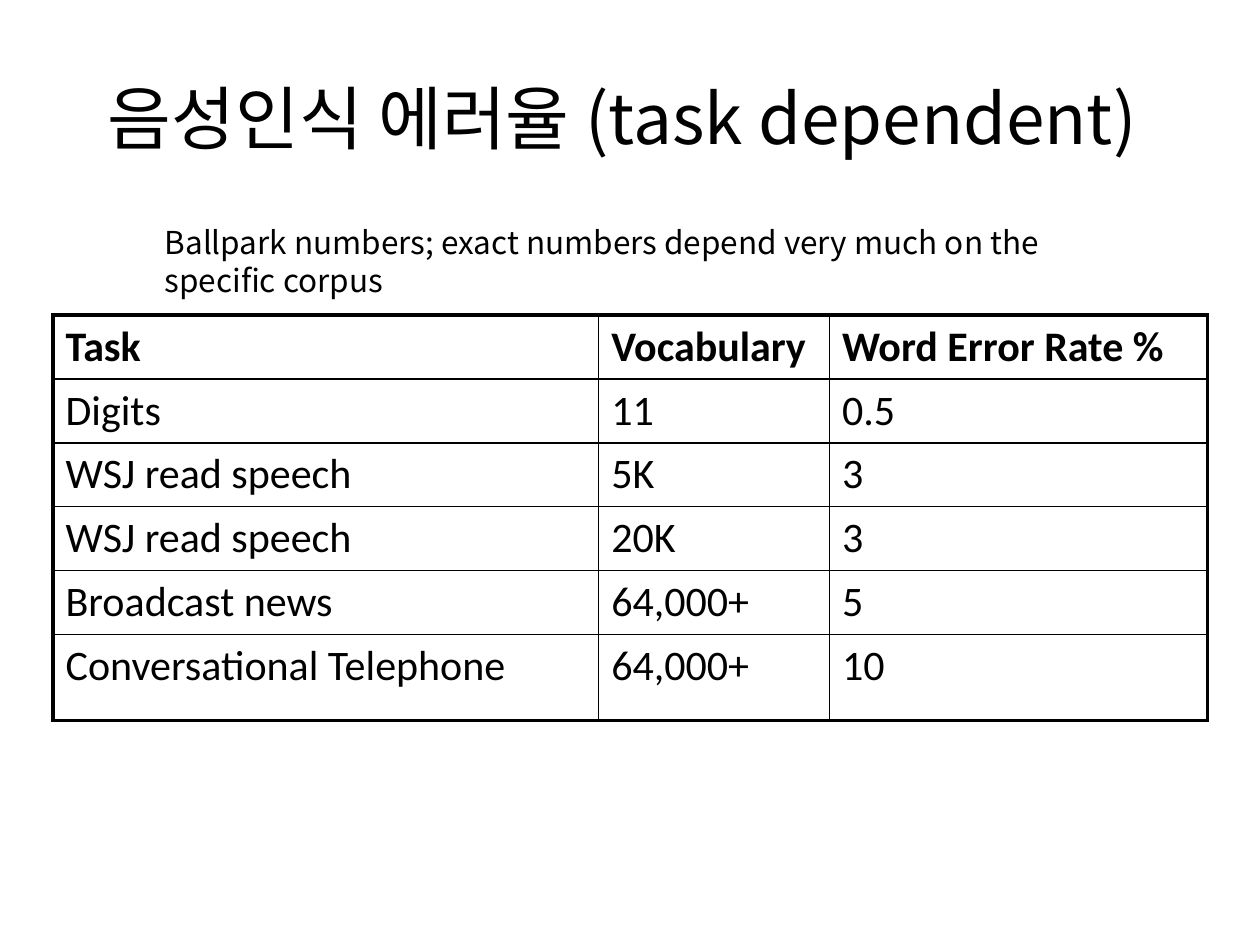
from dataclasses import dataclass

import lxml.etree
import pptx
import pptx.dml.color
import pptx.enum.text
import pptx.oxml.ns
import pptx.slide
import pptx.table
import pptx.text.text
import pptx.util
from pptx.util import Cm, Pt

BLACK = pptx.dml.color.RGBColor(0, 0, 0)
KOREAN_FONT = "Noto Sans CJK KR"
TABLE_FONT = "Calibri"
THICK, THIN = Pt(2.25), Pt(1)
COLUMN_WIDTHS = (Cm(11), Cm(4.65), Cm(7.62))
ROW_HEIGHT, LAST_ROW_HEIGHT = Cm(1.17), Cm(1.73)


@dataclass(frozen=True)
class Result:
    task: str
    vocabulary: str
    error_rate: str


HEADER = Result("Task", "Vocabulary", "Word Error Rate %")
RESULTS = [
    Result("Digits", "11", "0.5"),
    Result("WSJ read speech", "5K", "3"),
    Result("WSJ read speech", "20K", "3"),
    Result("Broadcast news", "64,000+", "5"),
    Result("Conversational Telephone", "64,000+", "10"),
]


def add_run(paragraph: pptx.text.text._Paragraph, text: str, font_name: str,
            size: float, bold: bool = False) -> None:
    run = paragraph.add_run()
    run.text = text
    run.font.size = Pt(size)
    run.font.bold = bold
    run.font.color.rgb = BLACK
    run.font.name = font_name
    # East Asian text takes its typeface from a separate element
    east_asian = lxml.etree.SubElement(
        run._r.get_or_add_rPr(), pptx.oxml.ns.qn("a:ea"))
    east_asian.set("typeface", font_name)


def set_borders(cell: pptx.table._Cell, widths: dict[str, int]) -> None:
    properties = cell._tc.get_or_add_tcPr()
    for position, (side, width) in enumerate(widths.items()):
        line = lxml.etree.Element(pptx.oxml.ns.qn(f"a:ln{side}"), w=str(width))
        fill = lxml.etree.SubElement(line, pptx.oxml.ns.qn("a:solidFill"))
        lxml.etree.SubElement(fill, pptx.oxml.ns.qn("a:srgbClr"), val=str(BLACK))
        properties.insert(position, line)


def add_title(slide: pptx.slide.Slide) -> None:
    title = slide.shapes.title
    title.left, title.top = Cm(1.27), Cm(0.76)
    title.width, title.height = Cm(22.86), Cm(3.18)
    frame = title.text_frame
    frame.auto_size = pptx.enum.text.MSO_AUTO_SIZE.NONE
    frame.vertical_anchor = pptx.enum.text.MSO_ANCHOR.MIDDLE
    paragraph = frame.paragraphs[0]
    paragraph.alignment = pptx.enum.text.PP_ALIGN.CENTER
    add_run(paragraph, "음성인식 에러율 (task dependent) ", KOREAN_FONT, 39.6)


def add_results_table(slide: pptx.slide.Slide) -> None:
    rows = [HEADER, *RESULTS]
    last_row, last_column = len(rows) - 1, len(COLUMN_WIDTHS) - 1
    height = ROW_HEIGHT * last_row + LAST_ROW_HEIGHT
    table = slide.shapes.add_table(
        len(rows), len(COLUMN_WIDTHS), Cm(1.07), Cm(6.35),
        sum(COLUMN_WIDTHS), height).table
    table.first_row = table.horz_banding = False
    for column, width in zip(table.columns, COLUMN_WIDTHS):
        column.width = width

    for i, result in enumerate(rows):
        table.rows[i].height = LAST_ROW_HEIGHT if i == last_row else ROW_HEIGHT
        values = (result.task, result.vocabulary, result.error_rate)
        for j, value in enumerate(values):
            cell = table.cell(i, j)
            cell.fill.background()
            # Thick outer frame, thin inner grid
            set_borders(cell, {
                "L": THICK if j == 0 else THIN,
                "R": THICK if j == last_column else THIN,
                "T": THICK if i == 0 else THIN,
                "B": THICK if i == last_row else THIN,
            })
            add_run(cell.text_frame.paragraphs[0], value, TABLE_FONT, 24,
                    bold=result is HEADER)


def add_caption(slide: pptx.slide.Slide) -> None:
    caption = slide.shapes.add_textbox(Cm(3.07), Cm(4.37), Cm(19.81), Cm(1.02))
    frame = caption.text_frame
    frame.word_wrap = True
    paragraph = frame.paragraphs[0]
    paragraph.line_spacing = Pt(21.7)
    add_run(paragraph, "Ballpark numbers; exact numbers depend very much on the "
            "specific corpus", KOREAN_FONT, 18)


def main() -> None:
    presentation = pptx.Presentation()
    presentation.slide_width, presentation.slide_height = Cm(25.4), Cm(19.05)
    slide = presentation.slides.add_slide(presentation.slide_layouts[5])
    add_title(slide)
    add_results_table(slide)
    add_caption(slide)
    presentation.save("out.pptx")


if __name__ == "__main__":
    main()
